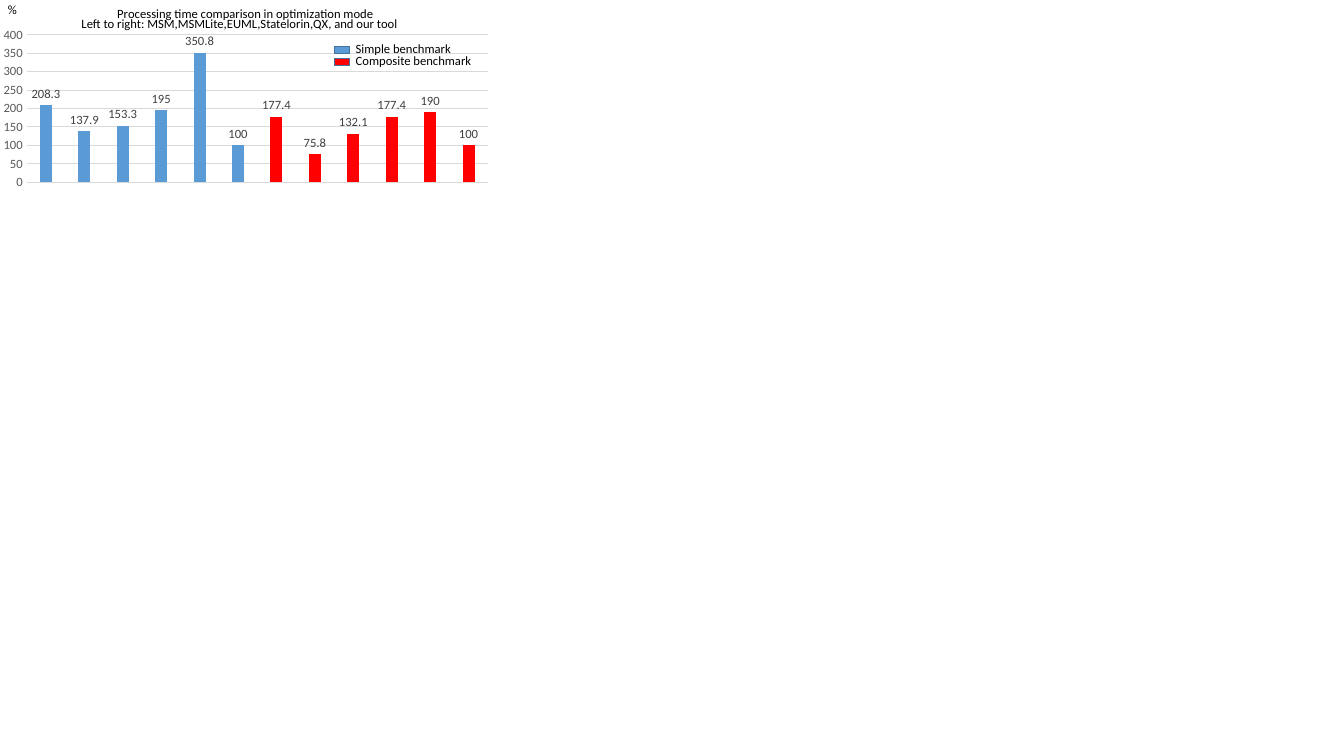
from lxml.etree import SubElement
from pptx import Presentation
from pptx.chart.data import CategoryChartData
from pptx.dml.color import RGBColor
from pptx.enum.chart import XL_CHART_TYPE, XL_LABEL_POSITION, XL_TICK_MARK
from pptx.enum.shapes import MSO_SHAPE
from pptx.enum.text import MSO_AUTO_SIZE
from pptx.oxml.ns import qn
from pptx.util import Pt

BLUE, RED, BLACK = "5B9BD5", "FF0000", "000000"
SIMPLE = [208.3, 137.9, 153.3, 195, 350.8, 100]
COMPOSITE = [177.4, 75.8, 132.1, 177.4, 190, 100]


def color(hex_text):
    return RGBColor.from_string(hex_text)


def style_font(font, hex_text):
    font.name = "Calibri"
    font.size = Pt(9)
    font.bold = False
    font.color.rgb = color(hex_text)


def fill_solid(fill, hex_text):
    fill.solid()
    fill.fore_color.rgb = color(hex_text)


def set_layout(element, index, **settings):
    """Give a chart part a manual layout, in fractions of the chart."""
    for old_layout in element.findall(qn("c:layout")):
        element.remove(old_layout)
    layout = SubElement(element, qn("c:layout"))
    element.insert(index, layout)
    manual = SubElement(layout, qn("c:manualLayout"))
    for name, value in settings.items():
        SubElement(manual, qn(f"c:{name}")).set("val", str(value))


def add_title(chart, text):
    frame = chart.chart_title.text_frame
    frame.text = text
    style_font(frame.paragraphs[0].font, BLACK)
    title = chart.chart_title._element
    set_layout(title, 1, xMode="edge", yMode="edge", x=0.24, y=0.07)


def style_value_axis(axis):
    axis.minimum_scale, axis.maximum_scale, axis.major_unit = 0, 400, 50
    axis.major_tick_mark = axis.minor_tick_mark = XL_TICK_MARK.NONE
    axis.format.line.fill.background()
    style_font(axis.tick_labels.font, "595959")
    gridline = axis.major_gridlines.format.line
    gridline.color.rgb = color("D9D9D9")
    gridline.width = Pt(0.75)


def add_benchmark_chart(slide):
    values = SIMPLE + COMPOSITE
    data = CategoryChartData()
    data.categories = [str(number + 1) for number in range(len(values))]
    data.add_series("Series 1", values)
    chart = slide.shapes.add_chart(
        XL_CHART_TYPE.COLUMN_CLUSTERED, Pt(-4.3), Pt(-7.9), Pt(360), Pt(146.2), data
    ).chart
    chart.has_legend = False
    chart.font.name = "Calibri"
    chart.font.size = Pt(10)
    chart.font.color.rgb = color(BLACK)
    add_title(chart, "Processing time comparison in optimization mode")
    chart.category_axis.visible = False
    style_value_axis(chart.value_axis)

    plot = chart.plots[0]
    plot.gap_width, plot.overlap = 219, -27
    plot.vary_by_categories = False
    series = plot.series[0]
    fill_solid(series.format.fill, BLUE)
    for index in range(len(SIMPLE), len(values)):
        fill_solid(series.points[index].format.fill, RED)
    labels = series.data_labels
    labels.show_value = True
    labels.position = XL_LABEL_POSITION.OUTSIDE_END
    style_font(labels.font, "404040")

    plot_area = chart._chartSpace.chart.plotArea
    set_layout(plot_area, 0, layoutTarget="inner", xMode="edge", yMode="edge",
               x=0.065, y=0.225, w=0.915, h=0.72)


def add_label(slide, text, left, top, width):
    box = slide.shapes.add_textbox(Pt(left), Pt(top), Pt(width), Pt(12.2))
    frame = box.text_frame
    frame.word_wrap = False
    frame.auto_size = MSO_AUTO_SIZE.SHAPE_TO_FIT_TEXT
    frame.text = text
    style_font(frame.paragraphs[0].font, BLACK)


def add_legend_entry(slide, text, top, width, hex_text):
    key = slide.shapes.add_shape(
        MSO_SHAPE.RECTANGLE, Pt(239), Pt(top + 7.2), Pt(10.8), Pt(5)
    )
    key.shadow.inherit = False
    fill_solid(key.fill, hex_text)
    key.line.color.rgb = color("43739E")
    key.line.width = Pt(1)
    add_label(slide, text, 247, top, width)


def main():
    presentation = Presentation()
    presentation.slide_width, presentation.slide_height = Pt(960), Pt(540)
    slide = presentation.slides.add_slide(presentation.slide_layouts[6])
    add_benchmark_chart(slide)
    add_label(slide, "%", -1.4, -2.2, 20.9)
    add_legend_entry(slide, "Simple benchmark", 26, 83.5, BLUE)
    add_legend_entry(slide, "Composite benchmark", 34.6, 98, RED)
    add_label(slide, "Left to right: MSM,MSMLite,EUML,Statelorin,QX, and our tool",
              51.1, 7.9, 248.4)
    presentation.save("out.pptx")


if __name__ == "__main__":
    main()
